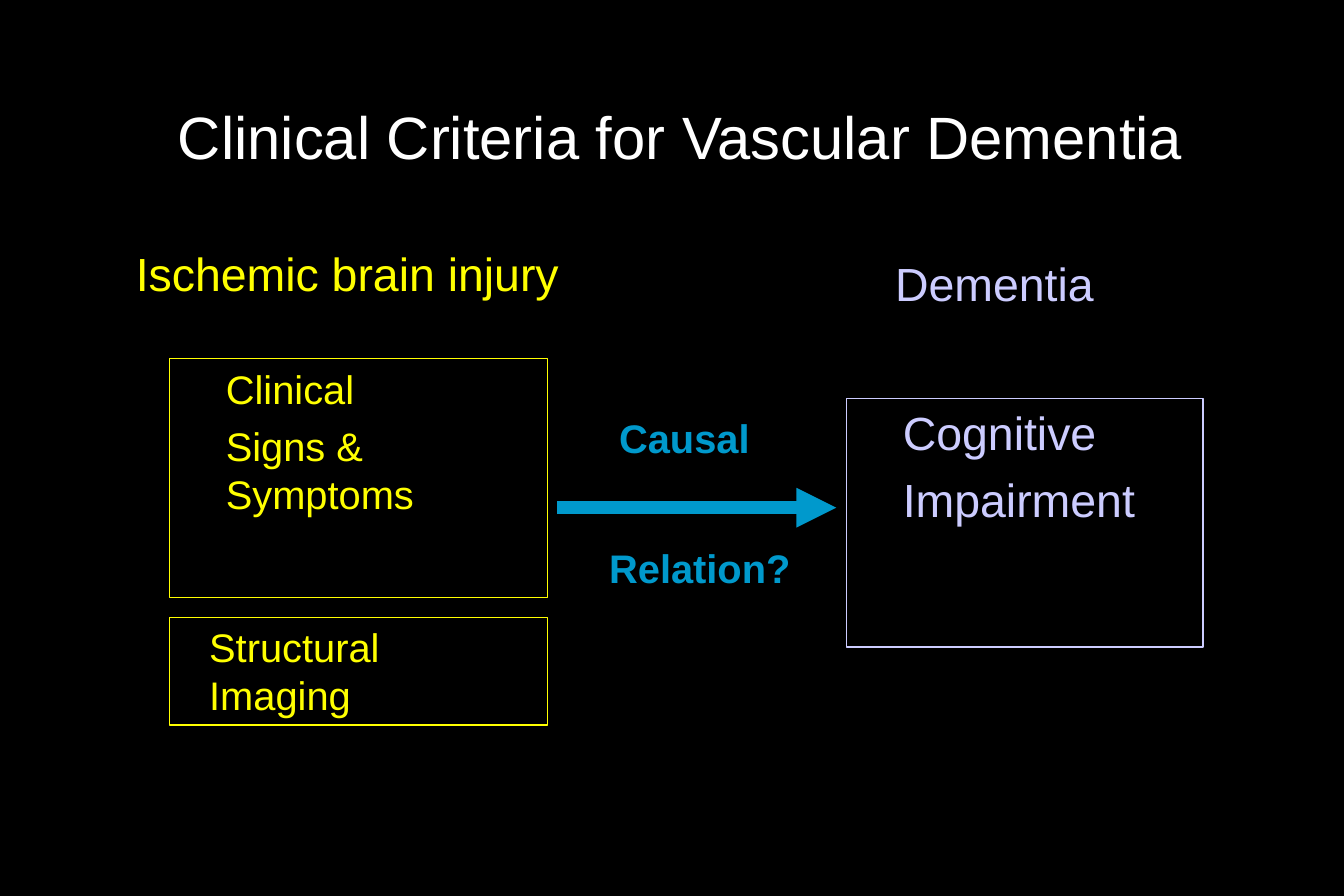
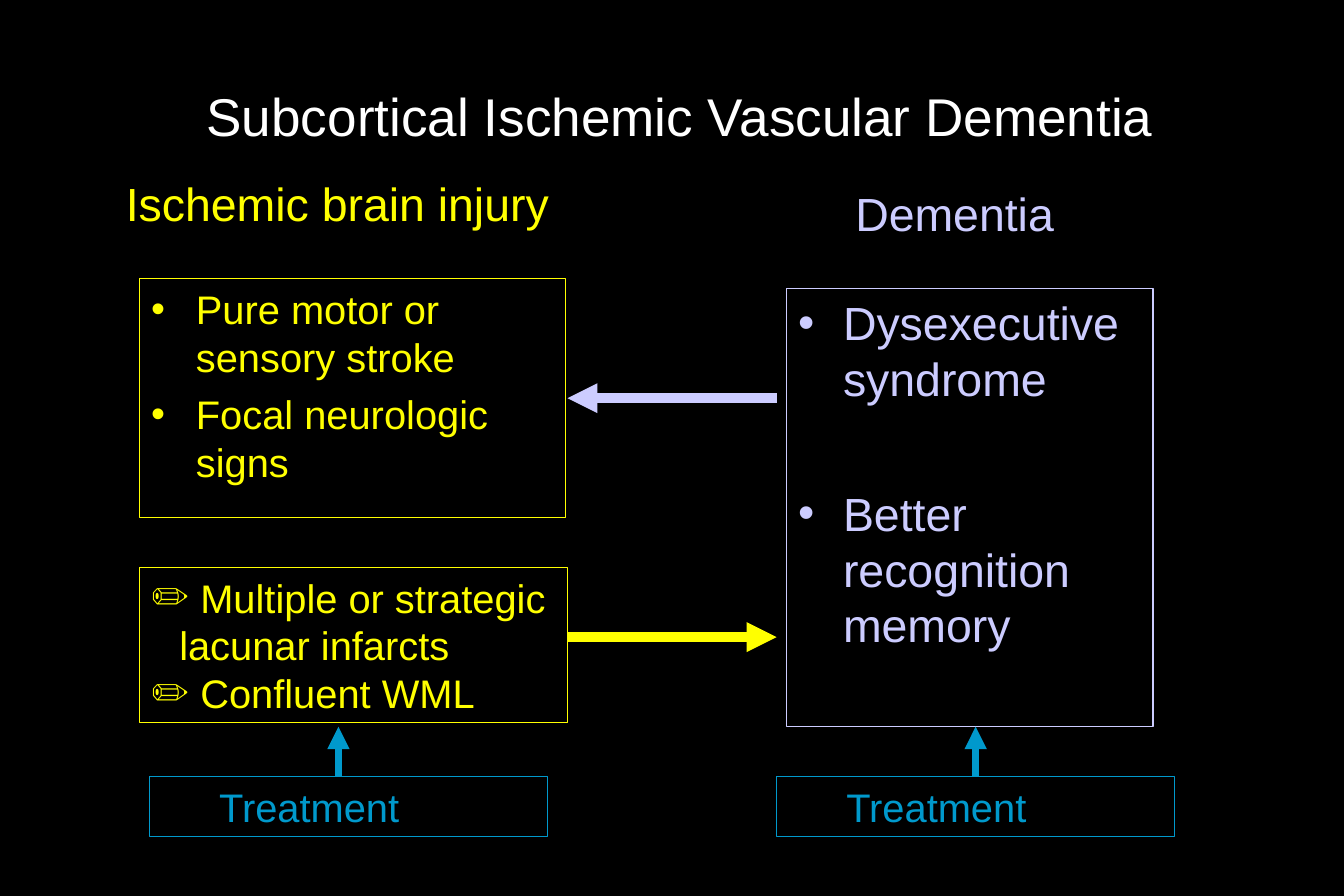
import pptx
import pptx.util
import pptx.dml.color
import pptx.enum.shapes
import pptx.enum.text
from lxml import etree
from pptx.oxml.ns import qn

Pt = pptx.util.Pt
ALIGN = pptx.enum.text.PP_ALIGN
ANCHOR = pptx.enum.text.MSO_ANCHOR

FONT = "Arial"
COLORS = {"back": "000000", "title": "FFFFFF", "injury": "FFFF00",
          "dementia": "CCCCFF", "link": "0099CC"}
LEADING = 1.2
HANG = 27        # hanging indent of the list boxes
NARROW = 17      # indent of the imaging boxes

# Positions are (left, top, width, height); arrows are (x1, y1, x2, y2).
# Box text: "indent" is the left margin, "gap" the space before later paragraphs.
SLIDES = [
    {
        "title": ("Clinical Criteria for Vascular Dementia", 36, 30),
        "headings": [
            ("Ischemic brain injury", "injury", (66, 144, 294, 41)),
            ("Dementia", "dementia", (492, 150, 222, 41)),
        ],
        "boxes": [
            {"at": (102, 216, 228, 144), "color": "injury", "indent": HANG, "gap": 6,
             "lines": ["Clinical", "Signs & Symptoms"]},
            {"at": (510, 240, 215, 150), "color": "dementia", "size": 28,
             "indent": HANG, "gap": 7, "lines": ["Cognitive", "Impairment"]},
            {"at": (102, 372, 228, 65), "color": "injury", "indent": NARROW,
             "lines": ["Structural", "Imaging"]},
        ],
        "labels": [
            ("Causal", (366, 246, 96, 36)),
            ("Relation?", (360, 324, 132, 36)),
        ],
        "arrows": [((336, 306, 504, 306), "link", 8)],
    },
    {
        "title": ("Subcortical Ischemic Vascular Dementia", 32, 18),
        "headings": [
            ("Ischemic brain injury", "injury", (60, 102, 294, 41)),
            ("Dementia", "dementia", (468, 108, 222, 41)),
        ],
        "boxes": [
            {"at": (84, 168, 257, 144), "color": "injury", "indent": HANG, "gap": 6,
             "bullet": "•",
             "lines": ["Pure motor or sensory stroke", "Focal neurologic signs"]},
            {"at": (474, 174, 221, 264), "color": "dementia", "size": 28,
             "indent": HANG, "gap": 47.6, "bullet": "•",
             "lines": ["Dysexecutive syndrome", "Better recognition memory"]},
            {"at": (84, 342, 258, 93.6), "color": "injury", "indent": NARROW,
             "bullet": "✏",
             "lines": [" Multiple or strategic lacunar infarcts", " Confluent WML"]},
            {"at": (90, 468, 240, 36), "color": "link", "indent": 35,
             "lines": ["Treatment"]},
            {"at": (468, 468, 240, 36), "color": "link", "indent": 35,
             "lines": ["Treatment"]},
        ],
        "labels": [],
        "arrows": [
            ((342, 384, 468, 384), "injury", 6),
            ((468, 240, 342, 240), "dementia", 6),
            ((204, 468, 204, 438), "link", 4.5),
            ((588, 468, 588, 438), "link", 4.5),
        ],
    },
]


def rgb(name):
    return pptx.dml.color.RGBColor.from_string(COLORS[name])


def points(values):
    return [Pt(v) for v in values]


def set_bullet(p, indent, char):
    pPr = p._p.get_or_add_pPr()
    pPr.set("marL", str(Pt(indent)))
    if char:
        pPr.set("indent", str(-Pt(indent)))
        etree.SubElement(pPr, qn("a:buFont")).set("typeface", FONT)
        etree.SubElement(pPr, qn("a:buChar")).set("char", char)


def write(tf, lines, color, size, align=ALIGN.LEFT, bold=False, indent=0,
          gap=0, bullet=None, leading=LEADING):
    tf.word_wrap = True
    for i, line in enumerate(lines):
        p = tf.add_paragraph() if i else tf.paragraphs[0]
        p.alignment = align
        if leading:
            p.line_spacing = Pt(size * leading)
        if i and gap:
            p.space_before = Pt(gap)
        if indent:
            set_bullet(p, indent, bullet)
        r = p.add_run()
        r.text = line
        r.font.name = FONT
        r.font.size = Pt(size)
        r.font.bold = bold
        r.font.color.rgb = rgb(color)


def add_text(s, at, text, color, size, **style):
    tf = s.shapes.add_textbox(*points(at)).text_frame
    write(tf, [text], color, size, **style)
    return tf


def add_title(s, text, size, top):
    tf = add_text(s, (66, top, 688, 90), text, "title", size,
                  align=ALIGN.CENTER, leading=None)
    tf.vertical_anchor = ANCHOR.MIDDLE
    tf.margin_top = Pt(16.5)


def add_box(s, at, color, lines, size=24, **style):
    sp = s.shapes.add_shape(pptx.enum.shapes.MSO_SHAPE.RECTANGLE, *points(at))
    sp.shadow.inherit = False
    sp.fill.background()
    sp.line.color.rgb = rgb(color)
    sp.line.width = Pt(0.75)
    sp.text_frame.vertical_anchor = ANCHOR.TOP
    write(sp.text_frame, lines, color, size, **style)


def add_arrow(s, ends, color, width):
    cn = s.shapes.add_connector(pptx.enum.shapes.MSO_CONNECTOR.STRAIGHT, *points(ends))
    cn.line.color.rgb = rgb(color)
    cn.line.width = Pt(width)
    etree.SubElement(cn.line._get_or_add_ln(), qn("a:tailEnd")).set("type", "triangle")
    etree.SubElement(cn._element.spPr, qn("a:effectLst"))


def add_slide(prs, content):
    s = prs.slides.add_slide(prs.slide_layouts[6])
    s.background.fill.solid()
    s.background.fill.fore_color.rgb = rgb("back")
    add_title(s, *content["title"])
    for text, color, at in content["headings"]:
        tf = add_text(s, at, text, color, 28, align=ALIGN.CENTER)
        tf.margin_right = Pt(14.5)
    for box in content["boxes"]:
        add_box(s, **box)
    for text, at in content["labels"]:
        add_text(s, at, text, "link", 24, bold=True)
    for arrow in content["arrows"]:
        add_arrow(s, *arrow)


def main():
    prs = pptx.Presentation()
    prs.slide_width, prs.slide_height = Pt(810), Pt(540)
    for content in SLIDES:
        add_slide(prs, content)
    prs.save("out.pptx")


if __name__ == "__main__":
    main()
